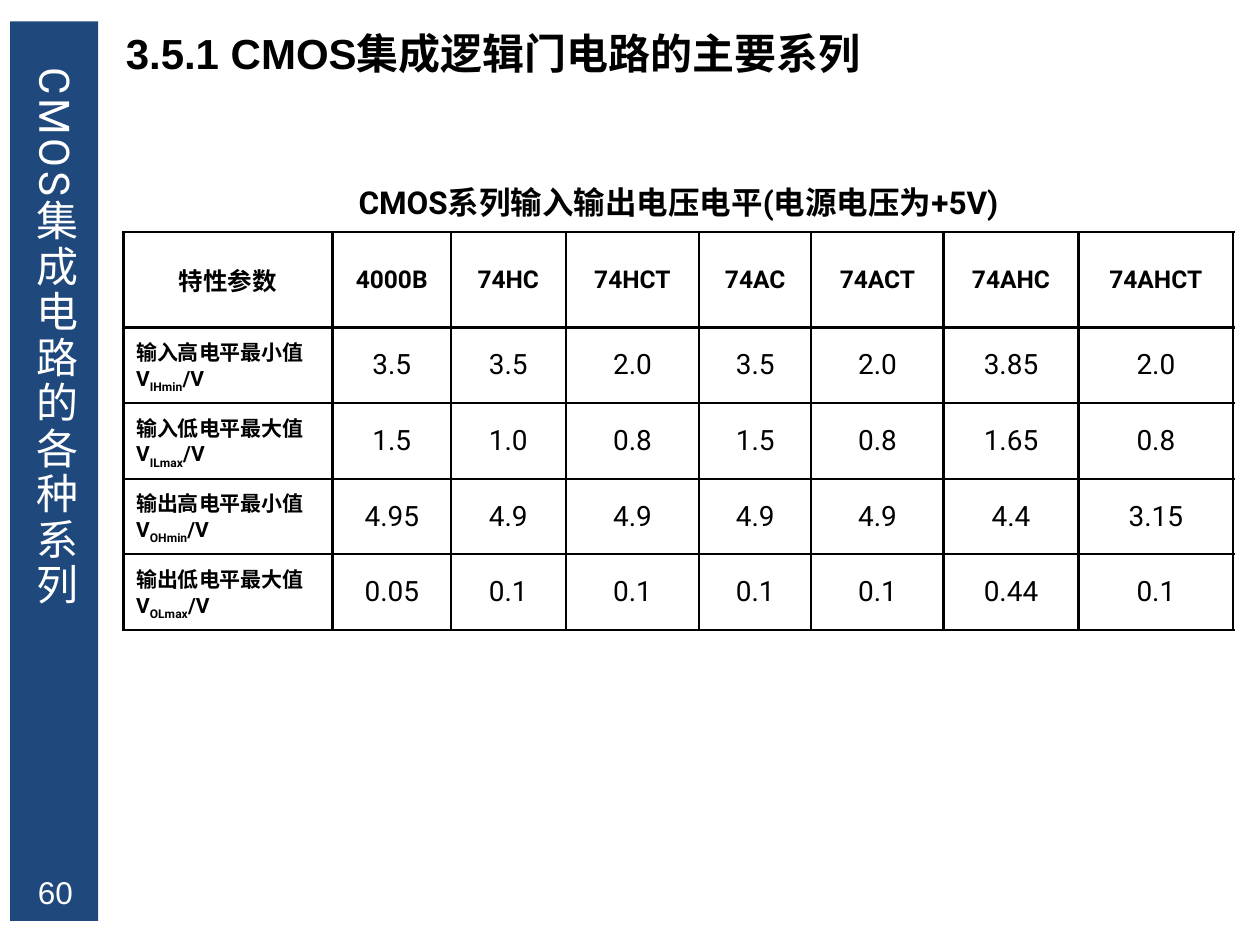
from lxml.etree import SubElement
from pptx import Presentation
from pptx.dml.color import RGBColor
from pptx.enum.shapes import MSO_SHAPE
from pptx.enum.text import MSO_ANCHOR, PP_ALIGN
from pptx.oxml.ns import qn
from pptx.util import Pt

PX = 9144  # 100 px to the inch
NAVY = RGBColor(0x1F, 0x49, 0x7D)
WHITE = RGBColor(0xFF, 0xFF, 0xFF)
BLACK = RGBColor(0x00, 0x00, 0x00)

COLS = [166, 94, 91, 106, 89, 105, 107, 123]
ROWS = [49, 76, 60, 60, 60, 60]
CAPTION = "CMOS系列输入输出电压电平(电源电压为+5V)"
HEADS = ["特性参数", "4000B", "74HC", "74HCT", "74AC", "74ACT", "74AHC", "74AHCT"]
LEVELS = [
    ("输入高电平最小值V", "IHmin", "3.5 3.5 2.0 3.5 2.0 3.85 2.0"),
    ("输入低电平最大值V", "ILmax", "1.5 1.0 0.8 1.5 0.8 1.65 0.8"),
    ("输出高电平最小值V", "OHmin", "4.95 4.9 4.9 4.9 4.9 4.4 3.15"),
    ("输出低电平最大值 V", "OLmax", "0.05 0.1 0.1 0.1 0.1 0.44 0.1"),
]


class Deck:
    def __init__(self, wide, high):
        self.prs = Presentation()
        self.prs.slide_width, self.prs.slide_height = wide * PX, high * PX
        self.slide = self.prs.slides.add_slide(self.prs.slide_layouts[6])
        self.body = "Roboto"
        self.head = "Arial"

    def style(self, run, size, color=BLACK, bold=False, face=None):
        font = run.font
        font.size, font.bold, font.name = Pt(size), bold, face or self.body
        font.color.rgb = color

    def bar(self, x, y, w, h, color):
        box = self.slide.shapes.add_shape(
            MSO_SHAPE.RECTANGLE, x * PX, y * PX, w * PX, h * PX)
        box.shadow.inherit = False
        box.fill.solid()
        box.fill.fore_color.rgb = color
        box.line.fill.background()

    def text(self, x, y, w, h, words, size, align=PP_ALIGN.LEFT,
             anchor=MSO_ANCHOR.TOP, **look):
        box = self.slide.shapes.add_textbox(x * PX, y * PX, w * PX, h * PX)
        frame = box.text_frame
        frame.word_wrap = True
        frame.vertical_anchor = anchor
        frame.text = words
        para = frame.paragraphs[0]
        para.alignment = align
        self.style(para.runs[0], size, **look)
        return frame

    def upright(self, x, y, w, h, words, size, gap, **look):
        """Vertical text with extra space between the letters."""
        frame = self.text(x, y, w, h, words, size, anchor=MSO_ANCHOR.MIDDLE, **look)
        frame._txBody.bodyPr.set("vert", "eaVert")
        run = frame.paragraphs[0].runs[0]
        run.font._element.set("spc", str(gap * 100))

    def grid(self, x, y, cols, rows):
        table = self.slide.shapes.add_table(
            len(rows), len(cols), x * PX, y * PX, sum(cols) * PX, sum(rows) * PX).table
        table.first_row = table.horz_banding = False
        for col, wide in zip(table.columns, cols):
            col.width = wide * PX
        for row, high in zip(table.rows, rows):
            row.height = high * PX
        return table

    def edge(self, cell, sides):
        """Draw the named sides (L, R, T, B) and clear the others."""
        props = cell._tc.get_or_add_tcPr()
        for side in "LRTB":
            line = SubElement(props, qn(f"a:ln{side}"), w=str(Pt(1.5)))
            if side in sides:
                fill = SubElement(line, qn("a:solidFill"))
                SubElement(fill, qn("a:srgbClr"), val=str(BLACK))
            else:
                SubElement(line, qn("a:noFill"))
        cell.fill.background()

    def cell(self, cell, parts, size, align=PP_ALIGN.CENTER, bold=False):
        """Fill a cell; every second part is a subscript."""
        cell.vertical_anchor = MSO_ANCHOR.MIDDLE
        para = cell.text_frame.paragraphs[0]
        para.alignment = align
        for i, part in enumerate(parts):
            run = para.add_run()
            run.text = part
            self.style(run, size, bold=bold)
            if i % 2:
                run.font._element.set("baseline", "-25000")


def main():
    deck = Deck(1000, 750)
    deck.bar(8, 17, 70, 714, NAVY)
    deck.text(12, 690, 64, 35, "60", 18, PP_ALIGN.CENTER, MSO_ANCHOR.MIDDLE,
              color=WHITE, face=deck.head)
    deck.upright(12, 44, 65, 672, "CMOS集成电路的各种系列", 24, 2, color=WHITE)

    table = deck.grid(98, 135, COLS, ROWS)
    for r in range(len(ROWS)):
        for c in range(len(COLS)):
            deck.edge(table.cell(r, c), "LRTB" if r else "B")
    table.cell(0, 0).merge(table.cell(0, len(COLS) - 1))
    deck.cell(table.cell(0, 0), [CAPTION], 18, bold=True)
    for c, name in enumerate(HEADS):
        deck.cell(table.cell(1, c), [name], 14, bold=True)
    for r, (label, sub, volts) in enumerate(LEVELS, 2):
        deck.cell(table.cell(r, 0), [label, sub, "/V"], 12, PP_ALIGN.LEFT, True)
        for c, volt in enumerate(volts.split(), 1):
            deck.cell(table.cell(r, c), [volt], 16)

    deck.text(90, 17, 910, 51, "3.5.1 CMOS集成逻辑门电路的主要系列", 24,
              bold=True, face=deck.head)
    deck.prs.save("out.pptx")


if __name__ == "__main__":
    main()
